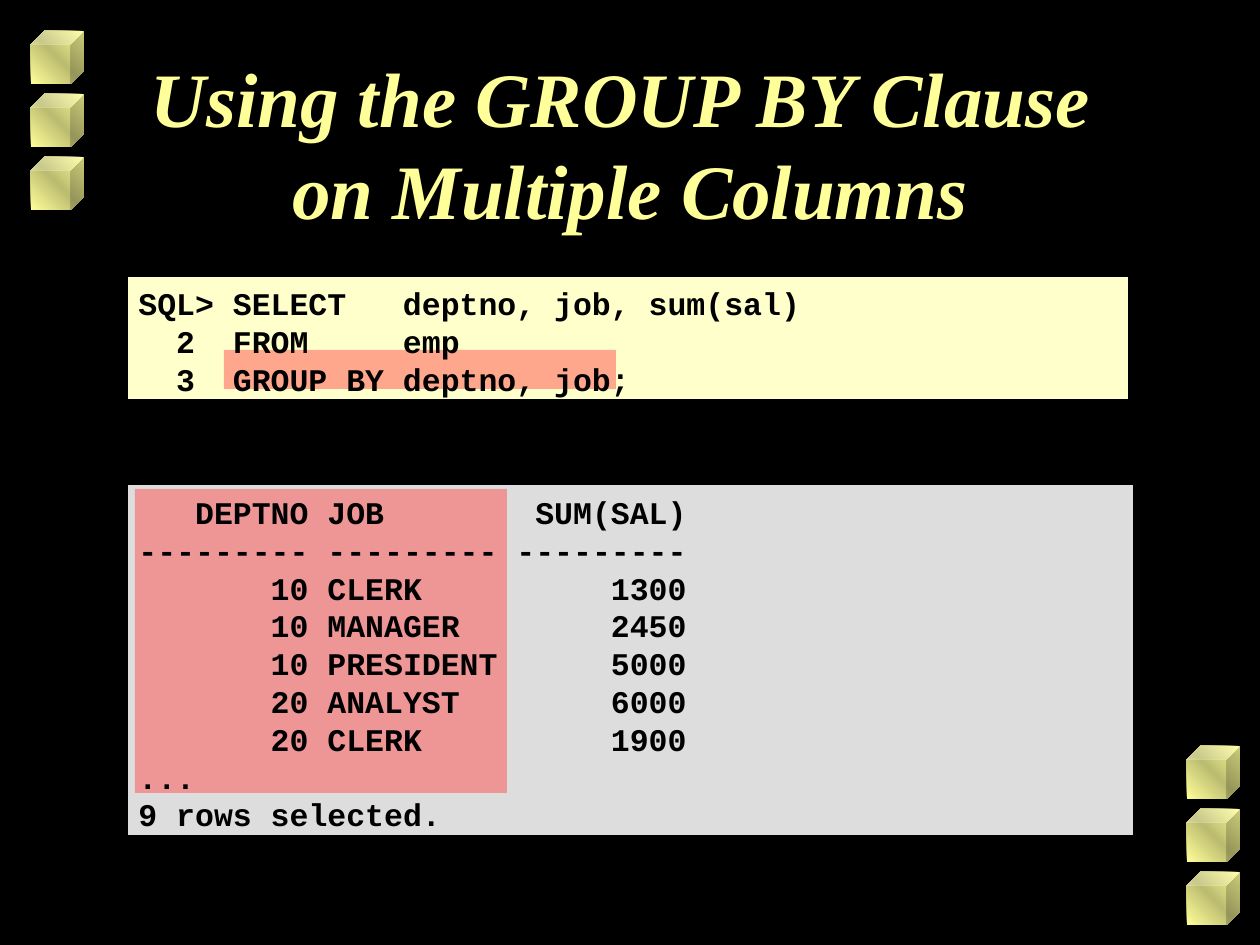
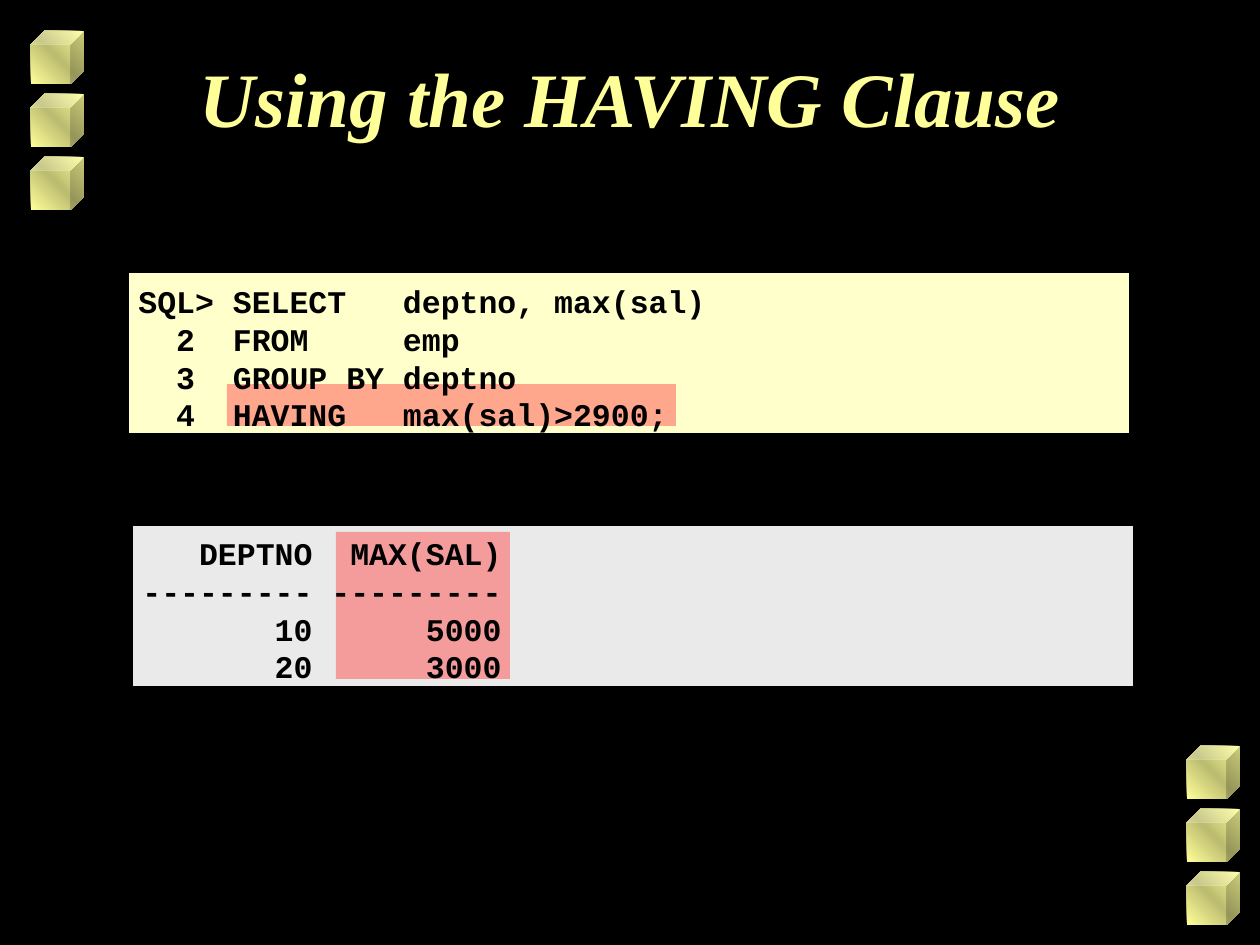
"""Build two slides on the SQL GROUP BY and HAVING clauses."""
from copy import deepcopy

from lxml import etree
from pptx import Presentation
from pptx.dml.color import RGBColor
from pptx.enum.shapes import MSO_SHAPE
from pptx.enum.text import MSO_ANCHOR, PP_ALIGN
from pptx.oxml.ns import qn
from pptx.util import Emu, Pt

RECT, CUBE = MSO_SHAPE.RECTANGLE, MSO_SHAPE.CUBE
TOP, LEFT, CENTER = MSO_ANCHOR.TOP, PP_ALIGN.LEFT, PP_ALIGN.CENTER
PX = 914400 / 126
COLORS = {
    "black": "000000",
    "title": "FFFF99",
    "cube_shade": "BCBC71",
    "query": "FFFFCC",
    "highlight": "FF5050",
}
TITLE_FONT = {"name": "Times New Roman", "size": Pt(44), "bold": True, "italic": True}
CODE_FONT = {"name": "Courier New", "size": Pt(18), "bold": True}
CUBE_SIZE, CUBE_STEP = 53, 63
CUBE_STACKS = [(31, 31), (1187, 746)]
TITLE_BOX = (95, 42, 1071, 157)

SLIDES = [
    {
        "title": "Using the GROUP BY Clause \non Multiple Columns",
        "panels": [("query", (126, 275, 1004, 126)), ("DDDDDD", (126, 483, 1009, 354))],
        "highlights": [(224, 350, 392, 39), (135, 489, 372, 304)],
        "code_boxes": [(126, 272, 1008, 130), (126, 481, 1013, 358)],
        "query": [("SELECT", "deptno, job, sum(sal)"), ("FROM", "emp"),
                  ("GROUP BY", "deptno, job;")],
        "row_format": "{:>9} {:<9} {:>9}",
        "rows": [
            ("DEPTNO", "JOB", "SUM(SAL)"),
            ("-" * 9,) * 3,
            (10, "CLERK", 1300),
            (10, "MANAGER", 2450),
            (10, "PRESIDENT", 5000),
            (20, "ANALYST", 6000),
            (20, "CLERK", 1900),
        ],
        "ending": ["...", "9 rows selected."],
    },
    {
        "title": "Using the HAVING Clause",
        "panels": [("query", (127, 271, 1004, 164)), ("EAEAEA", (131, 524, 1004, 164))],
        "highlights": [(227, 384, 449, 42), (336, 532, 174, 147)],
        "code_boxes": [(126, 270, 1008, 168), (130, 522, 1008, 168)],
        "query": [("SELECT", "deptno, max(sal)"), ("FROM", "emp"),
                  ("GROUP BY", "deptno"), ("HAVING", "max(sal)>2900;")],
        "row_format": "{:>9} {:>9}",
        "rows": [
            ("DEPTNO", "MAX(SAL)"),
            ("-" * 9,) * 2,
            (10, 5000),
            (20, 3000),
        ],
        "ending": [],
    },
]


def add_block(slide, kind, box, color=None):
    """Add an unlined, unshadowed shape at a px box."""
    block = slide.shapes.add_shape(kind, *(Emu(round(v * PX)) for v in box))
    block.shadow.inherit = False
    block.line.fill.background()
    if color:
        block.fill.solid()
        block.fill.fore_color.rgb = RGBColor.from_string(color)
    return block


def add_text(slide, box, lines, font, color, align, margin_top):
    """Add a text box with one paragraph per line."""
    frame = slide.shapes.add_textbox(*(Emu(round(v * PX)) for v in box)).text_frame
    layout = {"word_wrap": True, "vertical_anchor": TOP,
              "margin_top": Emu(round(margin_top * PX))}
    for key, value in layout.items():
        setattr(frame, key, value)
    for i, line in enumerate(lines):
        paragraph = frame.add_paragraph() if i else frame.paragraphs[0]
        paragraph.text = line
        paragraph.alignment = align
        paragraph.line_spacing = Pt(font["size"].pt * 1.2)
        for run in paragraph.runs:
            for key, value in font.items():
                setattr(run.font, key, value)
            run.font.color.rgb = RGBColor.from_string(color)


deck = Presentation()
deck.slide_width, deck.slide_height = Emu(round(1260 * PX)), Emu(round(945 * PX))

for content in SLIDES:
    slide = deck.slides.add_slide(deck.slide_layouts[6])
    slide.background.fill.solid()
    slide.background.fill.fore_color.rgb = RGBColor.from_string(COLORS["black"])

    for left, top in CUBE_STACKS:
        for i in range(3):
            cube = add_block(slide, CUBE, (left, top + i * CUBE_STEP, CUBE_SIZE, CUBE_SIZE))
            cube.fill.gradient()
            cube.fill.gradient_angle = 45
            stops = cube._element.spPr.find(".//" + qn("a:gsLst"))
            middle = deepcopy(stops[0])
            middle.set("pos", "50000")
            stops.insert(1, middle)
            for stop, name in zip(cube.fill.gradient_stops, ("title", "cube_shade", "title")):
                stop.color.rgb = RGBColor.from_string(COLORS[name])

    for color, box in content["panels"]:
        panel = add_block(slide, RECT, box, COLORS.get(color, color))
        panel.line.color.rgb = RGBColor.from_string(COLORS["black"])
        panel.line.width = Pt(2)

    add_text(slide, TITLE_BOX, [content["title"]], TITLE_FONT, COLORS["title"], CENTER, 8)

    for box in content["highlights"]:
        highlight = add_block(slide, RECT, box, COLORS["highlight"])
        tint = highlight._element.spPr.find(qn("a:solidFill"))[0]
        etree.SubElement(tint, qn("a:alpha")).set("val", "50000")

    query = [
        "{:<4} {:<8} {}".format("SQL>" if number == 1 else f"{number:>3}", keyword, rest)
        for number, (keyword, rest) in enumerate(content["query"], 1)
    ]
    result = [content["row_format"].format(*row) for row in content["rows"]]
    for box, lines in zip(content["code_boxes"], (query, result + content["ending"])):
        add_text(slide, box, lines, CODE_FONT, COLORS["black"], LEFT, 12)

deck.save("out.pptx")
